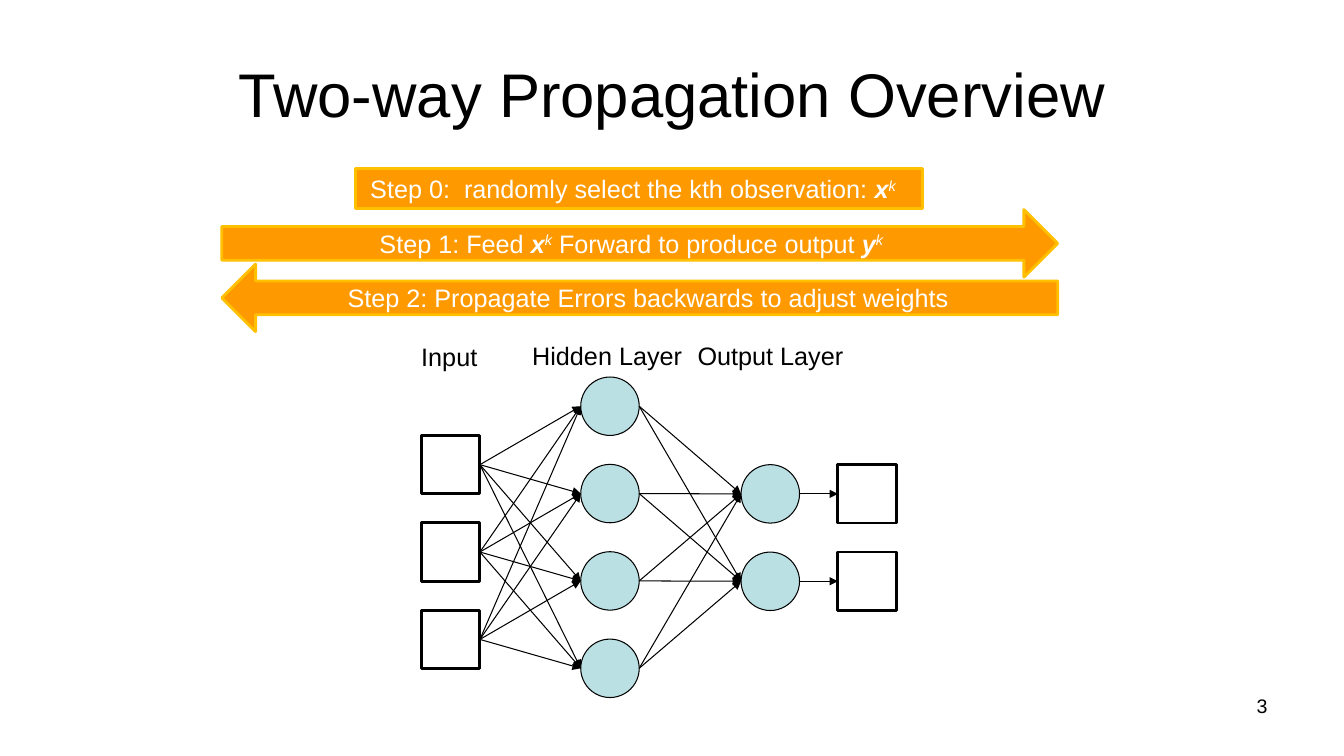
from dataclasses import dataclass
from itertools import product

from lxml.etree import SubElement
from pptx import Presentation
from pptx.dml.color import RGBColor
from pptx.enum.shapes import MSO_CONNECTOR, MSO_SHAPE
from pptx.enum.text import MSO_ANCHOR, PP_ALIGN
from pptx.oxml.ns import qn
from pptx.util import Inches, Pt


@dataclass(frozen=True)
class Theme:
    font: str = "Arial"
    black: RGBColor = RGBColor(0x00, 0x00, 0x00)
    white: RGBColor = RGBColor(0xFF, 0xFF, 0xFF)
    orange: RGBColor = RGBColor(0xFF, 0x99, 0x00)
    amber: RGBColor = RGBColor(0xFF, 0xC0, 0x00)
    aqua: RGBColor = RGBColor(0xBB, 0xE0, 0xE3)
    title: int = 44
    body: int = 18
    number: int = 14
    thin: float = 0.75
    thick: float = 2


T = Theme()


def add_text(sp, *runs, size=T.body, color=T.black, align=PP_ALIGN.LEFT,
             anchor=MSO_ANCHOR.TOP, wrap=True):
    """Each run is a string, or a (string, style) pair: "var" or "sup"."""
    tf = sp.text_frame
    tf.word_wrap = wrap
    tf.vertical_anchor = anchor
    p = tf.paragraphs[0]
    p.alignment = align
    for run in runs:
        text, style = (run, None) if isinstance(run, str) else run
        r = p.add_run()
        r.text = text
        r.font.name = T.font
        r.font.size = Pt(size)
        r.font.color.rgb = color
        if style:
            r.font.italic = True
            r.font.bold = style == "var"
        if style == "sup":
            r._r.get_or_add_rPr().set("baseline", "30000")


def add_shape(kind, x, y, w, h, fill, line, weight):
    sp = s.shapes.add_shape(kind, Inches(x), Inches(y), Inches(w), Inches(h))
    sp.shadow.inherit = False
    sp.fill.solid()
    sp.fill.fore_color.rgb = fill
    sp.line.color.rgb = line
    sp.line.width = Pt(weight)
    return sp


prs = Presentation()
prs.slide_width, prs.slide_height = Inches(13.33), Inches(7.5)
s = prs.slides.add_slide(prs.slide_layouts[5])

# Title
title = s.shapes.title
title.left, title.top = Inches(0.67), Inches(0.3)
title.width, title.height = Inches(12), Inches(1.25)
add_text(title, "Two-way Propagation Overview", size=T.title,
         align=PP_ALIGN.CENTER, anchor=MSO_ANCHOR.MIDDLE)

# Steps
x_k = [("x", "var"), ("k", "sup")]
y_k = [("y", "var"), ("k", "sup")]
steps = [
    (MSO_SHAPE.RIGHT_ARROW, 2.2, 2.08, 8.29, 0.67, 0.1,
     ["Step 1: Feed ", *x_k, " Forward to produce output ", *y_k]),
    (MSO_SHAPE.LEFT_ARROW, 2.2, 2.62, 8.29, 0.67, 0.1,
     ["Step 2: Propagate Errors backwards to adjust weights"]),
    (MSO_SHAPE.RECTANGLE, 3.53, 1.67, 5.62, 0.4, 0.22,
     ["Step 0:  randomly select the kth observation: ", *x_k]),
]
for kind, x, y, w, h, margin_right, runs in steps:
    sp = add_shape(kind, x, y, w, h, T.orange, T.amber, T.thick)
    sp.text_frame.margin_right = Inches(margin_right)
    add_text(sp, *runs, color=T.white, align=PP_ALIGN.CENTER,
             anchor=MSO_ANCHOR.MIDDLE)

# Network nodes, one column per layer
NODE, ROW = 0.58, 2.6 / 3
columns = {
    "input": (MSO_SHAPE.RECTANGLE, 4.18, 4.32, 3, T.white, T.thick),
    "hidden": (MSO_SHAPE.OVAL, 5.76, 3.74, 4, T.aqua, T.thin),
    "output": (MSO_SHAPE.OVAL, 7.35, 4.61, 2, T.aqua, T.thin),
    "result": (MSO_SHAPE.RECTANGLE, 8.31, 4.61, 2, T.white, T.thick),
}
layers = {
    name: [add_shape(kind, x, top + i * ROW, NODE, NODE, fill, T.black, weight)
           for i in range(count)]
    for name, (kind, x, top, count, fill, weight) in columns.items()
}

# Arrows between layers
links = [*product(layers["input"], layers["hidden"]),
         *product(layers["hidden"], layers["output"]),
         *zip(layers["output"], layers["result"])]
for source, target in links:
    c = s.shapes.add_connector(
        MSO_CONNECTOR.STRAIGHT,
        source.left + source.width, source.top + source.height // 2,
        target.left, target.top + target.height // 2)
    if source.auto_shape_type == MSO_SHAPE.RECTANGLE:
        c.begin_connect(source, 3)
    if target.auto_shape_type == MSO_SHAPE.RECTANGLE:
        c.end_connect(target, 1)
    c.line.color.rgb = T.black
    c.line.width = Pt(T.thin)
    SubElement(c.line._get_or_add_ln(), qn("a:tailEnd"), type="triangle")
    SubElement(c._element.spPr, qn("a:effectLst"))

# Layer labels and slide number
labels = [
    ("Input", 4.08, 3.34, 0.76, 0.4, {"wrap": False}),
    ("Hidden Layer", 5.18, 3.33, 1.69, 0.4, {"wrap": False}),
    ("Output Layer", 6.82, 3.33, 1.65, 0.4, {"wrap": False}),
    ("3", 9.56, 6.83, 3.11, 0.52, {"size": T.number, "align": PP_ALIGN.RIGHT}),
]
for text, x, y, w, h, fmt in labels:
    box = s.shapes.add_textbox(Inches(x), Inches(y), Inches(w), Inches(h))
    add_text(box, text, **fmt)

prs.save("out.pptx")
